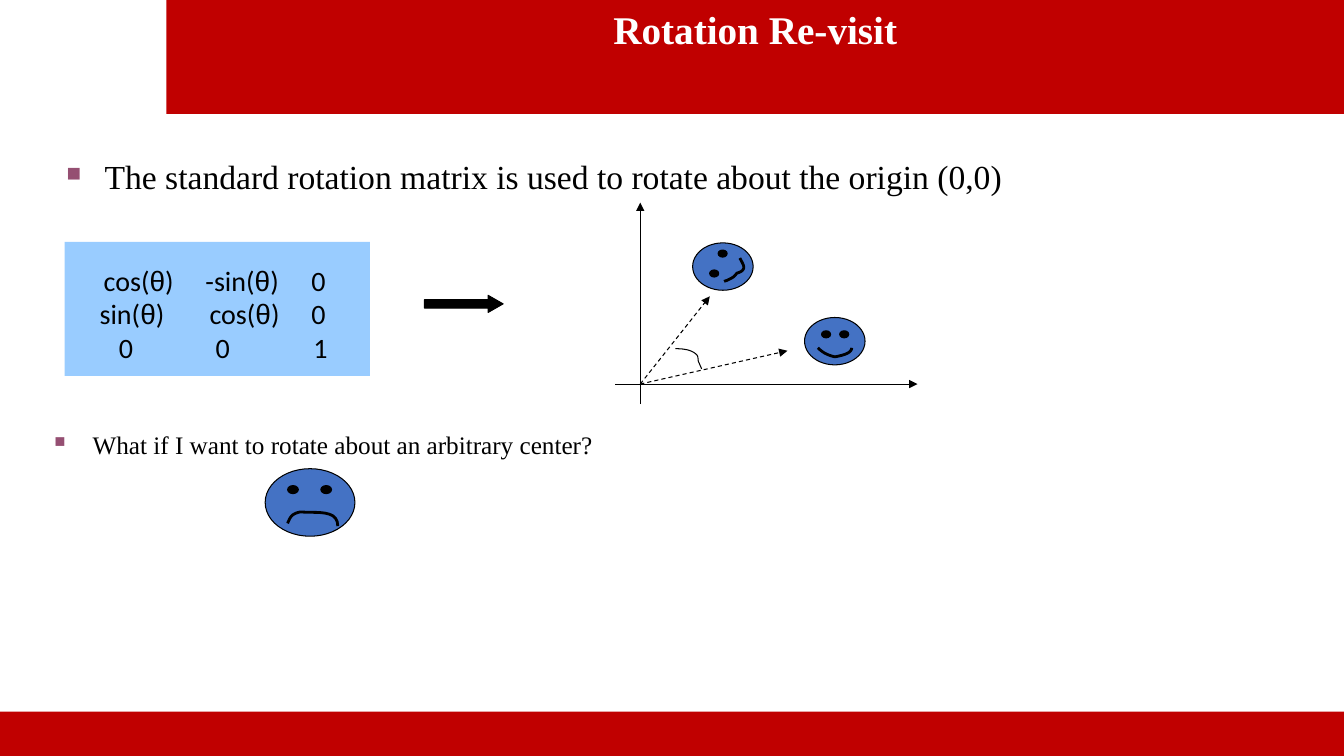
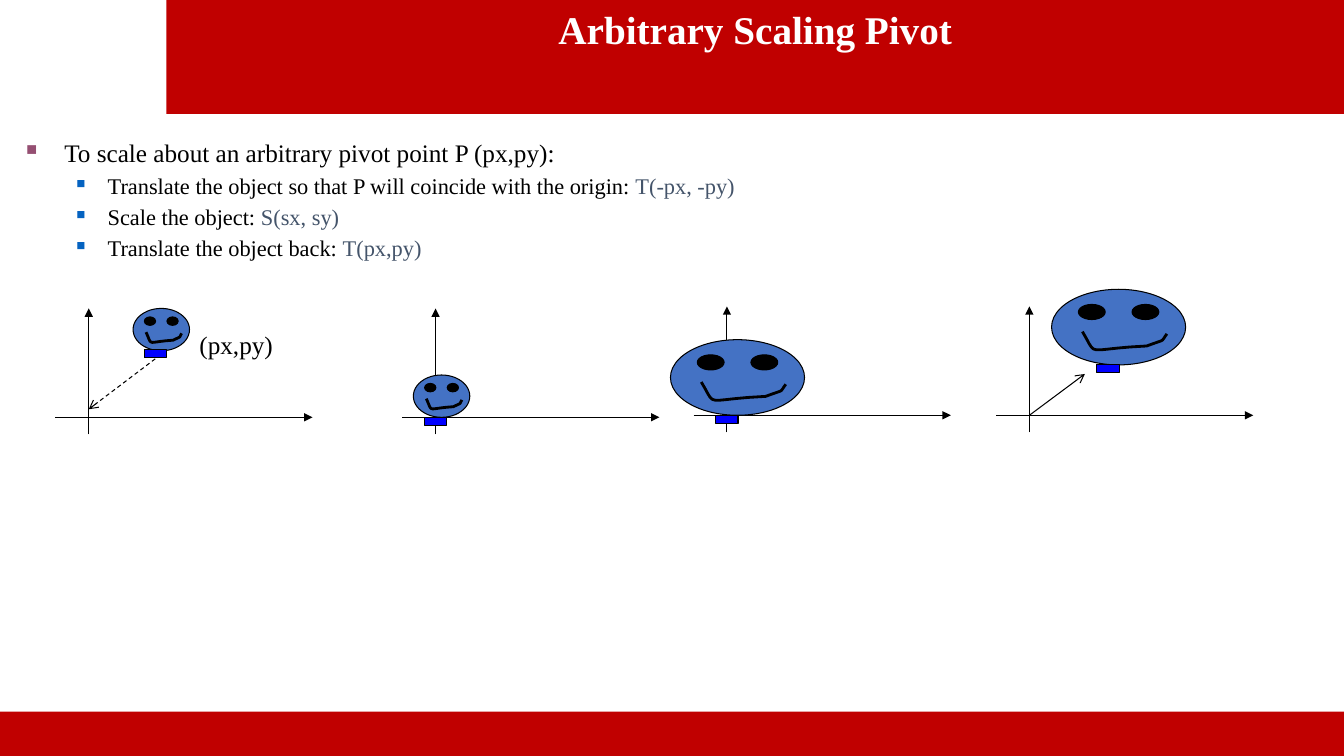
from lxml import etree
from pptx import Presentation
from pptx.dml.color import RGBColor
from pptx.enum.dml import MSO_LINE
from pptx.enum.shapes import MSO_CONNECTOR, MSO_SHAPE
from pptx.enum.text import MSO_ANCHOR, PP_ALIGN
from pptx.oxml.ns import qn
from pptx.util import Inches, Pt

RECT, OVAL, ARROW = MSO_SHAPE.RECTANGLE, MSO_SHAPE.OVAL, MSO_SHAPE.RIGHT_ARROW
LINE, DASH = MSO_CONNECTOR.STRAIGHT, MSO_LINE.DASH
TOP, MID = MSO_ANCHOR.TOP, PP_ALIGN.CENTER
WIDE, HIGH = 13.33, 7.5
SERIF, SANS, GREEK = "Times New Roman", "Calibri", "Arial"
HUES = {"band": "C00000", "ink": "000000", "white": "FFFFFF", "face": "4472C4",
        "panel": "99CCFF", "pivot": "0000FF", "term": "44546A",
        "mark": "954F72", "sub": "0563C1"}

# Bullet levels: indent, hanging part, size of the mark in percent, its colour
LEVELS = [(0.38, 0.38, 60, "mark"), (0.81, 0.31, 55, "sub")]

# Moods: eye corners, eye size and the Bezier points of the mouth, as shares of the face
MOODS = {
    "grin": ([(0.2, 0.2), (0.6, 0.2)], 0.2,
             [(0.23, 0.56), (0.35, 0.91), (0.23, 0.79), (0.71, 0.75),
              (0.86, 0.65), (0.81, 0.71), (0.86, 0.59)]),
    "smile": ([(0.28, 0.28), (0.58, 0.28)], 0.15,
              [(0.22, 0.64), (0.3, 0.74), (0.37, 0.79), (0.5, 0.83),
               (0.58, 0.81), (0.78, 0.77), (0.78, 0.64)]),
    "tilt": ([(0.28, 0.57), (0.42, 0.15)], 0.15,
             [(0.78, 0.32), (0.83, 0.45), (0.92, 0.57), (0.73, 0.64),
              (0.68, 0.72), (0.68, 0.72), (0.6, 0.77),
              (0.58, 0.79), (0.52, 0.81), (0.52, 0.81)]),
    "frown": ([(0.25, 0.25), (0.62, 0.25)], 0.12,
              [(0.25, 0.81), (0.28, 0.72), (0.29, 0.67), (0.39, 0.64),
               (0.58, 0.66), (0.81, 0.6), (0.81, 0.85)]),
}
ANGLE = [(1, 1), (0.96, 0.9), (0.92, 0.75), (0.88, 0.65), (0.85, 0.55),
         (0.88, 0.4), (0.81, 0.3), (0.62, 0.05), (0.31, 0), (0, 0)]


def tone(name):
    """Return the named colour."""
    return RGBColor.from_string(HUES[name])


def style(run, size, font=SERIF, hue="ink", bold=False):
    """Format one run."""
    run.font.size, run.font.name, run.font.bold = Pt(size), font, bold
    run.font.color.rgb = tone(hue)


def block(slide, kind, box, fill, edge=True):
    """Add a filled preset shape."""
    shape = slide.shapes.add_shape(kind, *map(Inches, box))
    shape.shadow.inherit = False
    shape.fill.solid()
    shape.fill.fore_color.rgb = tone(fill)
    if edge:
        shape.line.color.rgb = tone("ink")
        shape.line.width = Pt(0.75)
    else:
        shape.line.fill.background()
    return shape


def line(slide, start, end, head="triangle", dash=False):
    """Draw a thin line with a head at its end."""
    link = slide.shapes.add_connector(LINE, *map(Inches, (*start, *end)))
    link.line.color.rgb = tone("ink")
    link.line.width = Pt(0.75)
    if dash:
        link.line.dash_style = DASH
    part = link.element.spPr
    etree.SubElement(part.find(qn("a:ln")), qn("a:tailEnd"), type=head)
    etree.SubElement(part, qn("a:effectLst"))


def curve(slide, box, knots, width, steps=10):
    """Draw joined cubic curves whose points are shares of the box."""
    left, top, wide, high = box
    spots = [(Inches(left + x * wide), Inches(top + y * high)) for x, y in knots]
    track = []
    for i in range(0, len(spots) - 1, 3):
        for step in range(1, steps + 1):
            t = step / steps
            parts = ((1 - t) ** 3, 3 * t * (1 - t) ** 2, 3 * t * t * (1 - t), t ** 3)
            track.append(tuple(round(sum(k * spot[axis] for k, spot in
                                         zip(parts, spots[i:i + 4])))
                               for axis in (0, 1)))
    pen = slide.shapes.build_freeform(*spots[0])
    pen.add_line_segments(track, close=False)
    shape = pen.convert_to_shape()
    shape.shadow.inherit = False
    shape.fill.background()
    shape.line.color.rgb = tone("ink")
    shape.line.width = Pt(width)


def face(slide, box, mood):
    """Draw a round face that fills the box."""
    left, top, wide, high = box
    eyes, size, mouth = MOODS[mood]
    block(slide, OVAL, box, "face")
    for x, y in eyes:
        block(slide, OVAL, (left + x * wide, top + y * high,
                            size * wide, size * high), "ink")
    curve(slide, box, mouth, 2)


def axes(slide, box, origin):
    """Draw two axes across the box that meet at the origin."""
    left, top, wide, high = box
    x, y = origin
    line(slide, (left, y), (left + wide, y))
    line(slide, (x, top + high), (x, top))


def frame(slide, box, wrap=True):
    """Add an empty text box and return its text frame."""
    text = slide.shapes.add_textbox(*map(Inches, box)).text_frame
    text.word_wrap = wrap
    return text


def bullets(slide, box, items):
    """List items of (level, size, plain text, coloured text)."""
    text = frame(slide, box)
    for i, (level, size, plain, term) in enumerate(items):
        para = text.add_paragraph() if i else text.paragraphs[0]
        para.text, para.level = plain, level
        style(para.runs[0], size)
        if term:
            run = para.add_run()
            run.text = term
            style(run, size, hue="term")
        left, hang, share, hue = LEVELS[level]
        props = para._p.get_or_add_pPr()
        props.set("marL", str(Inches(left)))
        props.set("indent", str(-Inches(hang)))
        gap = etree.SubElement(props, qn("a:spcBef"))
        etree.SubElement(gap, qn("a:spcPct"), val="20000")
        tint = etree.SubElement(props, qn("a:buClr"))
        etree.SubElement(tint, qn("a:srgbClr"), val=HUES[hue])
        etree.SubElement(props, qn("a:buSzPct"), val=str(share * 1000))
        etree.SubElement(props, qn("a:buChar"), char="■")


def matrix(slide, box):
    """Show the rotation matrix on a panel, with its columns on tab stops."""
    left, top, wide, high = box
    block(slide, RECT, box, "panel", edge=False)
    text = frame(slide, (left + 0.07, top + 0.16, wide - 0.1, high - 0.15))
    rows = [(("cos(θ)", "-sin(θ)", "0"), (0.22, 1.23, 2.28)),
            (("sin(θ)", "cos(θ)", "0"), (0.18, 1.27, 2.28)),
            (("0", "0", "1"), (0.37, 1.33, 2.3))]
    for i, (cells, stops) in enumerate(rows):
        para = text.add_paragraph() if i else text.paragraphs[0]
        tabs = etree.SubElement(para._p.get_or_add_pPr(), qn("a:tabLst"))
        for stop in stops:
            etree.SubElement(tabs, qn("a:tab"), pos=str(Inches(stop)), algn="l")
        row = "".join("\t" + cell for cell in cells)
        for piece in row.replace("θ", "|θ|").split("|"):
            run = para.add_run()
            run.text = piece
            style(run, 20, GREEK if piece == "θ" else SANS)


def base(deck, title):
    """Add a blank slide with the title band and the foot band."""
    slide = deck.slides.add_slide(deck.slide_layouts[6])
    head = block(slide, RECT, (1.65, 0, WIDE - 1.65, 1.13), "band", edge=False)
    text = head.text_frame
    text.text, text.vertical_anchor = title, TOP
    para = text.paragraphs[0]
    para.alignment = MID
    style(para.runs[0], 28, hue="white", bold=True)
    block(slide, RECT, (0, HIGH - 0.44, WIDE, 0.44), "band", edge=False)
    return slide


def turn(slide, box):
    """Plot a face turned about the origin of the axes."""
    left, top, wide, high = box
    x, y = left + 0.25, top + 1.8
    axes(slide, box, (x, y))
    for mood, spot, tip in (("smile", (1.63, -0.66), (1.46, -0.33)),
                            ("tilt", (0.52, -1.4), (0.69, -0.87))):
        face(slide, (x + spot[0], y + spot[1], 0.6, 0.47), mood)
        line(slide, (x, y), (x + tip[0], y + tip[1]), dash=True)
    curve(slide, (x + 0.35, y - 0.35, 0.26, 0.2), ANGLE, 0.75)


def stage(slide, origin, spot, size, pivot):
    """Plot one scaling step; face and pivot lie relative to the origin."""
    x, y = origin
    axes(slide, (x - 0.33, y - 1.08, 2.55, 1.25), origin)
    face(slide, (x + spot[0], y + spot[1], *size), "grin")
    block(slide, RECT, (x + pivot[0], y + pivot[1], 0.22, 0.08), "pivot")


def rotate(deck):
    """Build the slide on rotation."""
    slide = base(deck, "Rotation Re-visit")
    matrix(slide, (0.64, 2.4, 3.03, 1.33))
    bullets(slide, (0.56, 1.5, 11.33, 4.5), [
        (0, 24, "The standard rotation matrix is used to rotate "
                "about the origin (0,0)", "")])
    arrow = block(slide, ARROW, (4.21, 2.93, 0.78, 0.17), "ink")
    arrow.adjustments[1] = 0.875
    turn(slide, (6.1, 2.01, 3, 2))
    bullets(slide, (0.44, 4.21, 5.66, 1.5), [
        (0, 18, "What if I want to rotate about an arbitrary center?", "")])
    face(slide, (2.63, 4.65, 0.89, 0.67), "frown")


def scale(deck):
    """Build the slide on scaling."""
    slide = base(deck, "Arbitrary Scaling Pivot")
    bullets(slide, (0.16, 1.31, 11.33, 4.5), [
        (0, 18, "To scale about an arbitrary pivot point P (px,py):", ""),
        (1, 16, "Translate the object so that P will coincide with the origin: ",
         "T(-px, -py)"),
        (1, 16, "Scale the object: ", "S(sx, sy)"),
        (1, 16, "Translate the object back: ", "T(px,py)")])
    small, large = (0.56, 0.42), (1.33, 0.75)
    first, last = (0.88, 4.14), (10.21, 4.12)
    stage(slide, first, (0.44, -1.08), small, (0.55, -0.67))
    stage(slide, (4.32, 4.14), (-0.22, -0.42), small, (-0.11, 0))
    stage(slide, (7.21, 4.12), (-0.56, -0.75), large, (-0.11, 0))
    stage(slide, last, (0.22, -1.25), large, (0.67, -0.5))
    line(slide, (1.54, 3.56), (0.88, 4.06), "arrow", dash=True)
    line(slide, last, (10.76, 3.71), "arrow")
    label = frame(slide, (1.88, 3.22, 0.94, 0.4), wrap=False)
    label.text = "(px,py)"
    style(label.paragraphs[0].runs[0], 18)


deck = Presentation()
deck.slide_width, deck.slide_height = Inches(WIDE), Inches(HIGH)
rotate(deck)
scale(deck)
deck.save("out.pptx")
